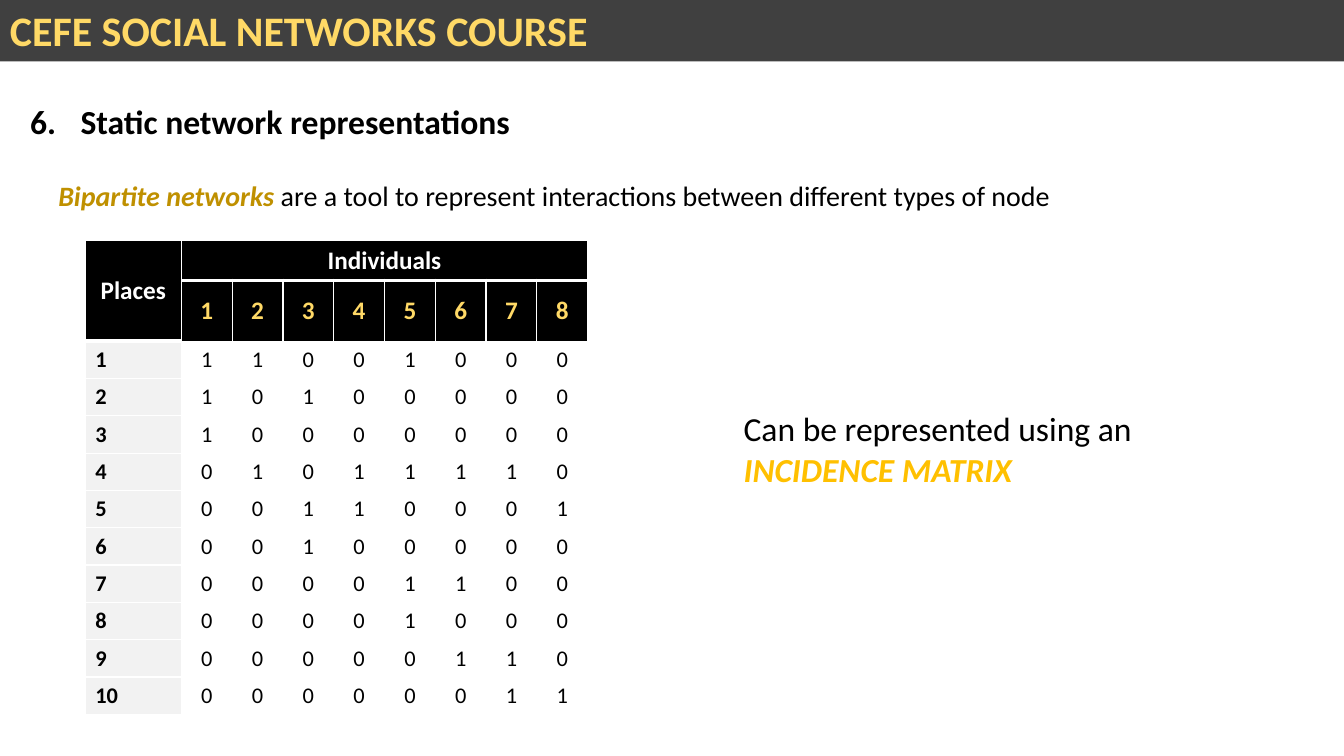
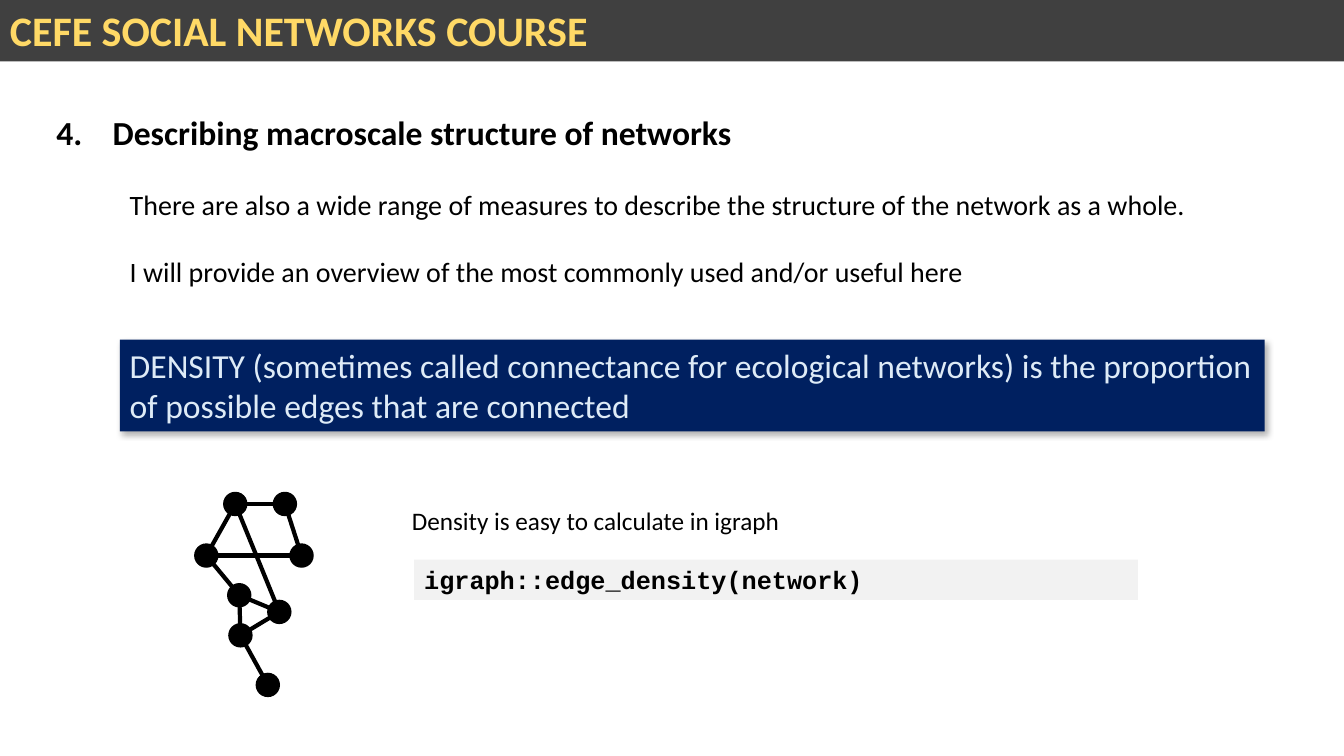
from lxml import etree
from pptx import Presentation
from pptx.dml.color import RGBColor
from pptx.enum.shapes import MSO_CONNECTOR as CONN, MSO_SHAPE as SHAPE
from pptx.enum.text import MSO_ANCHOR as ANCHOR, PP_ALIGN as ALIGN
from pptx.oxml import parse_xml
from pptx.oxml.ns import nsdecls, qn
from pptx.util import Cm, Pt

BLACK, WHITE, PALE = "000000", "FFFFFF", "F2F2F2"
BAND, YELLOW, GOLD, AMBER = "404040", "FFD966", "BF9000", "FFC000"
NAVY, ICE = "002060", "DEEBF7"
WIDTH, HEIGHT = 33.87, 19.05


def rgb(value):
    return RGBColor.from_string(value)


def add_text(s, box, paras, fill=None, gap=0, **fmt):
    lengths = [Cm(v) for v in box]
    if fill:
        sp = s.shapes.add_shape(SHAPE.RECTANGLE, *lengths)
        sp.shadow.inherit = False
        sp.fill.solid()
        sp.fill.fore_color.rgb = rgb(fill)
        sp.line.fill.background()
    else:
        sp = s.shapes.add_textbox(*lengths)
    tf = sp.text_frame
    tf.word_wrap = True
    tf.vertical_anchor = ANCHOR.TOP
    for i, runs in enumerate(paras):
        p = tf.paragraphs[0] if i == 0 else tf.add_paragraph()
        p.alignment = ALIGN.LEFT
        if i:
            p.space_before = Pt(gap)
        for text, extra in runs:
            r = p.add_run()
            r.text = text
            values = {"name": "Calibri", "size": 20, "color": BLACK, **fmt, **extra}
            r.font.color.rgb = rgb(values.pop("color"))
            values["size"] = Pt(values["size"])
            for key, value in values.items():
                setattr(r.font, key, value)
    return sp


prs = Presentation()
prs.slide_width, prs.slide_height = Cm(WIDTH), Cm(HEIGHT)

headings = [
    (6, "Static network representations", (0.51, 2.41, 32.46, 1.27), 1.27),
    (4, "Describing macroscale structure of networks", (1.17, 2.69, 19.79, 1.27), 1.42),
]
slides = []
for number, title, box, indent in headings:
    s = prs.slides.add_slide(prs.slide_layouts[6])
    add_text(s, (0, 0, WIDTH, 1.55), [[("CEFE SOCIAL NETWORKS COURSE", {})]],
             fill=BAND, size=30, color=YELLOW, bold=True)
    sp = add_text(s, box, [[(title, {})]], size=24, bold=True)
    pPr = sp.text_frame.paragraphs[0]._p.get_or_add_pPr()
    pPr.set("marL", str(Cm(indent)))
    pPr.set("indent", str(-Cm(indent)))
    etree.SubElement(pPr, qn("a:buFont"), typeface="+mj-lt")
    etree.SubElement(pPr, qn("a:buAutoNum"), type="arabicPeriod", startAt=str(number))
    slides.append(s)

s = slides[0]
add_text(s, (1.22, 4.37, 31.8, 1.12), [[
    ("Bipartite networks ", {"color": GOLD, "bold": True, "italic": True}),
    ("are a tool to represent interactions between different types of node", {}),
]])
add_text(s, (18.49, 10.16, 13.08, 2.31), [[
    ("Can be represented using an ", {}),
    ("INCIDENCE MATRIX", {"color": AMBER, "bold": True, "italic": True}),
]], size=24)

incidence = [
    "11001000", "10100000", "10000000", "01011110", "00110001",
    "00100000", "00001100", "00001000", "00000110", "00000011",
]
places = [["Places"]] + [[str(i + 1)] for i in range(len(incidence))]
matrix = [["Individuals"] + [""] * 7, list("12345678")] + [list(row) for row in incidence]
tables = [
    (4.57, 1.28, [1.02, 1.53], matrix, None, ALIGN.CENTER),
    (2.15, 2.42, [2.55], places, PALE, ALIGN.LEFT),
]
row_height = 0.94
for left, col_width, head_heights, rows, body_fill, body_align in tables:
    heights = head_heights + [row_height] * len(incidence)
    n_cols = len(rows[0])
    tbl = s.shapes.add_table(len(rows), n_cols, Cm(left), Cm(6.05),
                             Cm(col_width * n_cols), Cm(sum(heights))).table
    tbl.first_row = tbl.horz_banding = False
    for col in tbl.columns:
        col.width = Cm(col_width)
    for i, row in enumerate(rows):
        tbl.rows[i].height = Cm(heights[i])
        head = i < len(head_heights)
        fill = BLACK if head else body_fill
        for j, value in enumerate(row):
            cell = tbl.cell(i, j)
            cell.vertical_anchor = ANCHOR.MIDDLE
            if fill:
                cell.fill.solid()
                cell.fill.fore_color.rgb = rgb(fill)
            else:
                cell.fill.background()
            tcPr = cell._tc.get_or_add_tcPr()
            for k, side in enumerate("LRTB"):
                weight = Pt(3 if i == 0 and side == "B" else 1)
                tcPr.insert(k, parse_xml(
                    f'<a:ln{side} {nsdecls("a")} w="{weight}"><a:solidFill>'
                    f'<a:srgbClr val="{WHITE}"/></a:solidFill></a:ln{side}>'))
            if not value:
                continue
            p = cell.text_frame.paragraphs[0]
            p.alignment = ALIGN.CENTER if head else body_align
            r = p.add_run()
            r.text = value
            color = BLACK if not head else WHITE if i == 0 else YELLOW
            r.font.color.rgb = rgb(color)
            values = {"name": "Calibri", "size": Pt(18 if head else 16),
                      "bold": head or body_fill is not None}
            for key, setting in values.items():
                setattr(r.font, key, setting)
    if n_cols > 1:
        tbl.cell(0, 0).merge(tbl.cell(0, n_cols - 1))

s = slides[1]
add_text(s, (3.02, 4.6, 28.12, 2.82), [
    [("There are also a wide range of measures to describe the structure of the network as a whole.", {})],
    [("I will provide an overview of the most commonly used and/or useful here", {})],
], gap=24)
sp = add_text(s, (3.02, 8.56, 28.85, 2.31), [[
    ("DENSITY (sometimes called connectance for ecological networks) "
     "is the proportion of possible edges that are connected", {}),
]], fill=NAVY, size=24, color=ICE)
effects = sp._element.spPr.find(qn("a:effectLst"))
effects.append(parse_xml(
    f'<a:outerShdw {nsdecls("a")} blurRad="{Pt(4.5)}" dist="{Pt(2.6)}" dir="{53 * 60000}" '
    f'algn="tl" rotWithShape="0"><a:srgbClr val="{BLACK}"><a:alpha val="30000"/></a:srgbClr></a:outerShdw>'))
add_text(s, (10.13, 12.6, 20.68, 1.02), [[("Density is easy to calculate in igraph", {})]], size=18)
add_text(s, (10.44, 14.1, 18.24, 1.02), [[("igraph::edge_density(network)", {})]],
         fill=PALE, name="Courier New", size=18, bold=True)

nodes = {
    "a": (5.2, 14), "b": (7.6, 14), "c": (6.03, 15), "d": (7.04, 15.42),
    "e": (6.06, 16.01), "f": (6.75, 17.26), "g": (5.93, 12.7), "h": (7.18, 12.7),
}
edges = ["ab", "ag", "gh", "hb", "ac", "ce", "cd", "ed", "ef", "gd"]
diameter = 0.58
network = s.shapes.add_group_shape()
for start, end in edges:
    points = [Cm(v) for v in nodes[start] + nodes[end]]
    line = network.shapes.add_connector(CONN.STRAIGHT, *points)
    line.line.color.rgb = rgb(BLACK)
    line.line.width = Pt(3)
    etree.SubElement(line._element.spPr, qn("a:effectLst"))
for x, y in nodes.values():
    sp = network.shapes.add_shape(SHAPE.OVAL, Cm(x - diameter / 2), Cm(y - diameter / 2),
                                  Cm(diameter), Cm(diameter))
    sp.shadow.inherit = False
    sp.fill.solid()
    sp.fill.fore_color.rgb = rgb(BLACK)
    sp.line.color.rgb = rgb(BLACK)
    sp.line.width = Pt(1)

prs.save("out.pptx")
